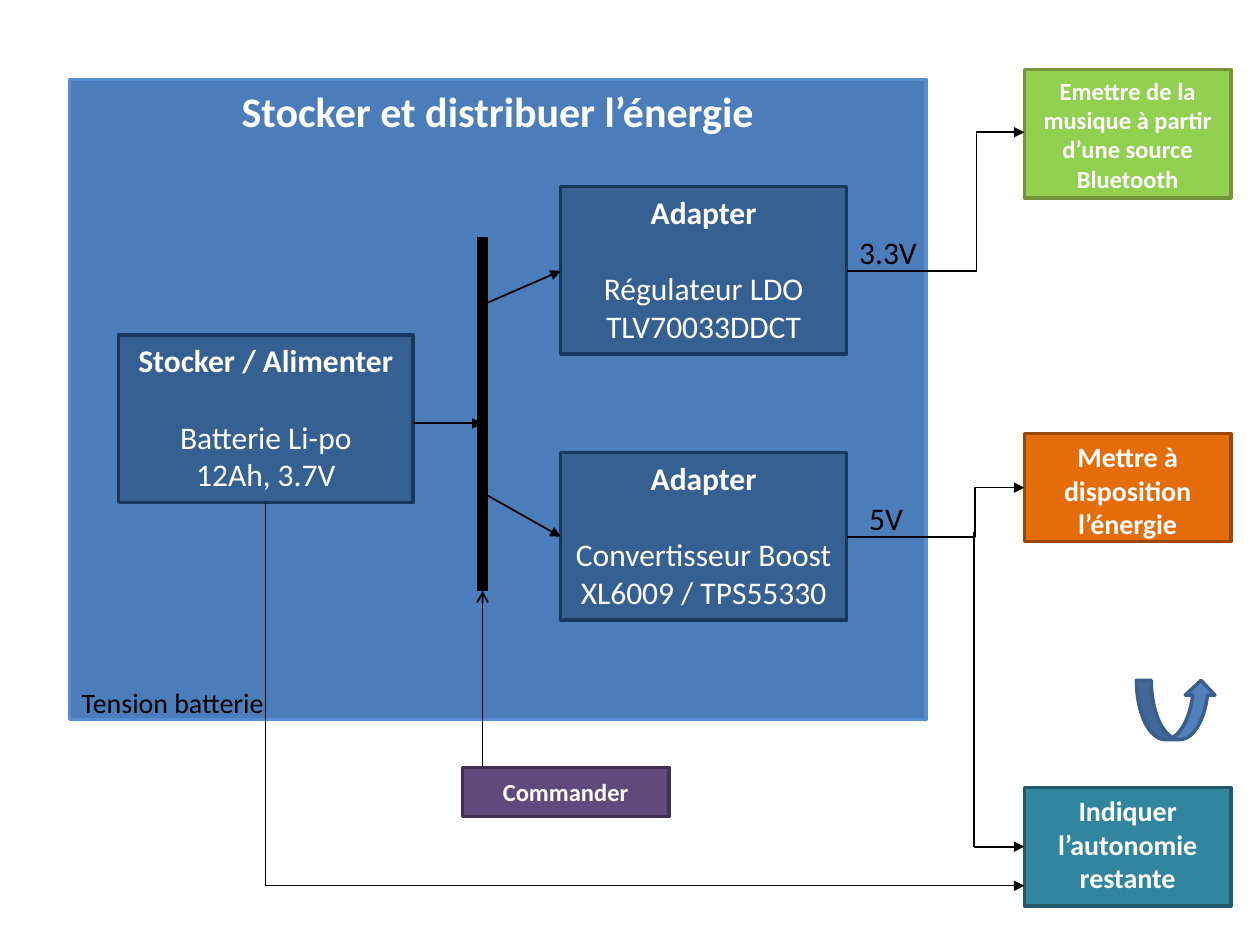
"""Build the energy storage and distribution block diagram."""
from lxml import etree
from pptx import Presentation
from pptx.dml.color import RGBColor
from pptx.enum.shapes import MSO_CONNECTOR, MSO_SHAPE
from pptx.enum.text import MSO_ANCHOR, MSO_AUTO_SIZE, PP_ALIGN
from pptx.oxml.ns import qn
from pptx.util import Inches, Pt

STRAIGHT, ELBOW = MSO_CONNECTOR.STRAIGHT, MSO_CONNECTOR.ELBOW
RECTANGLE, CURVED_ARROW = MSO_SHAPE.RECTANGLE, MSO_SHAPE.CURVED_UP_ARROW
TOP, MIDDLE = MSO_ANCHOR.TOP, MSO_ANCHOR.MIDDLE
CENTER, LEFT = PP_ALIGN.CENTER, PP_ALIGN.LEFT
NO_AUTOFIT = MSO_AUTO_SIZE.NONE

FONT = "Calibri"
COLORS = {
    "text": "FFFFFF", "wire": "000000",
    "system": ("4A7DBA", "558ED5"), "block": ("376092", "17375E"),
    "music": ("92D050", "77933C"), "supply": ("E46C0A", "984807"),
    "autonomy": ("31859C", "215968"), "command": ("604A7B", "403152"),
    "arrow": ("4F81BD", "3A5F8C"),
}

SYSTEM_TITLE = "Stocker et distribuer l’énergie"
SYSTEM_BOX = (0.55, 0.63, 6.8, 5.08)
BLOCK_HEIGHT, BLOCK_SIZE = 1.33, 18
BLOCKS = [
    (0.94, 2.66, 2.34, ["Stocker / Alimenter", "Batterie Li-po", "12Ah, 3.7V"]),
    (4.45, 3.59, 2.27, ["Adapter", "Convertisseur Boost", "XL6009 / TPS55330"]),
    (4.45, 1.48, 2.27, ["Adapter", "Régulateur LDO", "TLV70033DDCT"]),
]
FUNCTION_WIDTH = 1.64
FUNCTIONS = [
    (8.13, 0.55, 1.02, "music", 14, TOP,
     "Emettre de la musique à partir d’une source Bluetooth"),
    (8.13, 3.44, 0.86, "supply", 16, TOP, "Mettre à disposition l’énergie"),
    (8.13, 6.25, 0.94, "autonomy", 16, TOP, "Indiquer l’autonomie restante"),
    (3.67, 6.09, 0.39, "command", 14, MIDDLE, "Commander"),
]
LABELS = [
    ((6.72, 1.8, 0.78, 0.4), 18, "3.3V"),
    ((6.8, 3.91, 0.55, 0.4), 18, "5V"),
    ((0.55, 5.39, 1.95, 0.37), 16, "Tension batterie"),
]
BUS_X, OUTPUT_X, FUNCTION_X, BATTERY_X, BRANCH_X = 3.83, 6.72, 8.13, 2.11, 7.73
WIRES = [
    ((BUS_X, 1.88), (BUS_X, 4.69), 6, None),
    ((3.28, 3.36), (BUS_X, 3.36), 1, "triangle"),
    ((BUS_X, 2.42), (4.45, 2.15), 1, "triangle"),
    ((BUS_X, 3.91), (4.45, 4.26), 1, "triangle"),
    ((BRANCH_X, 4.22), (BRANCH_X, 6.72), 1, None),
    ((BRANCH_X, 6.72), (FUNCTION_X, 6.72), 1, "triangle"),
    ((BUS_X, 6.09), (BUS_X, 4.69), 1, "arrow"),
    ((BATTERY_X, 3.99), (BATTERY_X, 7.03), 0.75, None),
    ((BATTERY_X, 7.03), (FUNCTION_X, 7.03), 0.75, "triangle"),
]
BENT_WIRES = [(2.15, 1.05, 7.75), (4.26, 3.87, 7.74)]
CURVED_ARROW_BOX = (9.02, 5.4, 0.63, 0.47)


def rgb(name):
    return RGBColor.from_string(name)


def paint(shape, palette):
    fill, line = COLORS[palette]
    shape.fill.solid()
    shape.fill.fore_color.rgb = rgb(fill)
    shape.line.color.rgb = rgb(line)
    shape.line.width = Pt(2)


def write(shape, lines, size, color="text", align=CENTER, anchor=TOP, bold=True):
    frame = shape.text_frame
    frame.text = "\n".join(lines)
    frame.vertical_anchor = anchor
    frame.word_wrap = True
    frame.auto_size = NO_AUTOFIT
    for index, paragraph in enumerate(frame.paragraphs):
        paragraph.alignment = align
        for run in paragraph.runs:
            run.font.name = FONT
            run.font.size = Pt(size)
            run.font.bold = bold and index == 0
            run.font.color.rgb = rgb(COLORS[color])


def add_box(slide, box, palette, kind=RECTANGLE):
    shape = slide.shapes.add_shape(kind, *map(Inches, box))
    shape.shadow.inherit = False
    paint(shape, palette)
    return shape


def add_wire(slide, start, end, width, head, kind=STRAIGHT):
    wire = slide.shapes.add_connector(kind, *map(Inches, start + end))
    wire.line.color.rgb = rgb(COLORS["wire"])
    wire.line.width = Pt(width)
    properties = wire._element.spPr
    if head:
        etree.SubElement(properties.find(qn("a:ln")), qn("a:tailEnd"), type=head)
    etree.SubElement(properties, qn("a:effectLst"))
    return wire


def add_bent_wire(slide, start_y, end_y, bend_x):
    wire = add_wire(slide, (OUTPUT_X, start_y), (FUNCTION_X, end_y), 1, "triangle", ELBOW)
    ratio = round((bend_x - OUTPUT_X) / (FUNCTION_X - OUTPUT_X) * 100000)
    guides = wire._element.spPr.find(qn("a:prstGeom")).get_or_add_avLst()
    etree.SubElement(guides, qn("a:gd"), name="adj1", fmla=f"val {ratio}")


def main():
    deck = Presentation()
    deck.slide_width, deck.slide_height = Inches(10), Inches(7.5)
    slide = deck.slides.add_slide(deck.slide_layouts[5])

    system = slide.shapes.title
    system.left, system.top, system.width, system.height = map(Inches, SYSTEM_BOX)
    paint(system, "system")
    write(system, [SYSTEM_TITLE], 24)

    for left, top, width, lines in BLOCKS:
        block = add_box(slide, (left, top, width, BLOCK_HEIGHT), "block")
        write(block, lines, BLOCK_SIZE)
        block.text_frame.paragraphs[0].space_after = Pt(22)
    for left, top, height, palette, size, anchor, caption in FUNCTIONS:
        function = add_box(slide, (left, top, FUNCTION_WIDTH, height), palette)
        write(function, [caption], size, anchor=anchor)
    for wire in WIRES:
        add_wire(slide, *wire)
    for bent_wire in BENT_WIRES:
        add_bent_wire(slide, *bent_wire)
    for box, size, caption in LABELS:
        label = slide.shapes.add_textbox(*map(Inches, box))
        write(label, [caption], size, "wire", LEFT, bold=False)
    add_box(slide, CURVED_ARROW_BOX, "arrow", CURVED_ARROW)

    deck.save("out.pptx")


if __name__ == "__main__":
    main()
